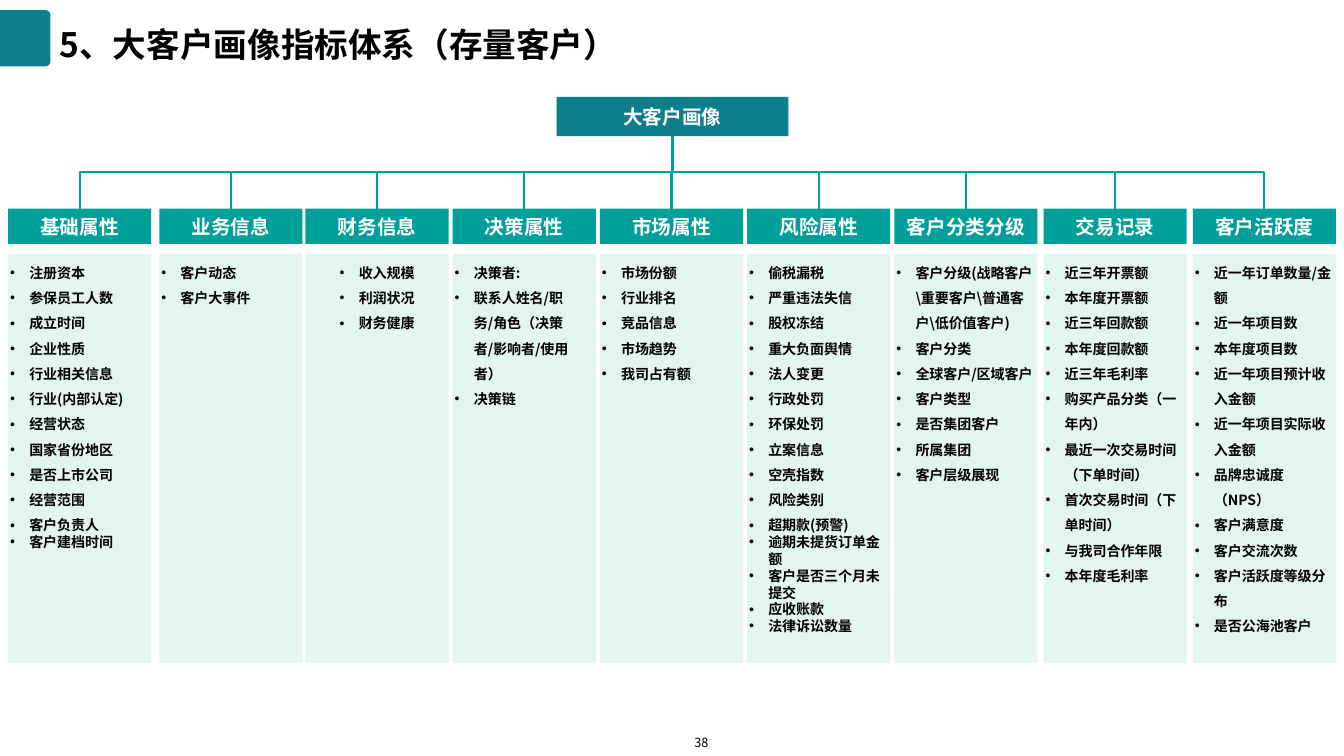
from dataclasses import dataclass

from lxml.etree import SubElement
from pptx import Presentation
from pptx.dml.color import RGBColor as RGB
from pptx.enum.shapes import MSO_CONNECTOR as CONN, MSO_SHAPE as SHAPE
from pptx.enum.text import MSO_ANCHOR as ANCHOR, PP_ALIGN as ALIGN
from pptx.oxml.ns import qn
from pptx.util import Inches, Pt


@dataclass(frozen=True)
class Theme:
    font: str = "Noto Sans CJK SC"
    deep: RGB = RGB(0x0C, 0x7F, 0x8A)
    teal: RGB = RGB(0x00, 0x9F, 0x9A)
    pale: RGB = RGB(0xE3, 0xF5, 0xF1)
    black: RGB = RGB(0, 0, 0)
    white: RGB = RGB(0xFF, 0xFF, 0xFF)
    title: int = 24
    heading: int = 14
    body: int = 10
    footer: int = 9


COLUMNS = [
    (0.08, "基础属性", [
        "注册资本", "参保员工人数", "成立时间", "企业性质", "行业相关信息", "行业(内部认定)",
        "经营状态", "国家省份地区", "是否上市公司", "经营范围", "客户负责人", "客户建档时间"]),
    (1.58, "业务信息", ["客户动态", "客户大事件"]),
    (3.03, "财务信息", ["收入规模", "利润状况", "财务健康"]),
    (4.49, "决策属性", ["决策者:", "联系人姓名/职务/角色（决策者/影响者/使用者）", "决策链"]),
    (5.95, "市场属性", ["市场份额", "行业排名", "竞品信息", "市场趋势", "我司占有额"]),
    (7.41, "风险属性", [
        "偷税漏税", "严重违法失信", "股权冻结", "重大负面舆情", "法人变更", "行政处罚", "环保处罚",
        "立案信息", "空壳指数", "风险类别", "超期款(预警)", "逾期未提货订单金额",
        "客户是否三个月未提交", "应收账款", "法律诉讼数量"]),
    (8.87, "客户分类分级", [
        "客户分级(战略客户\\重要客户\\普通客户\\低价值客户)", "客户分类", "全球客户/区域客户",
        "客户类型", "是否集团客户", "所属集团", "客户层级展现"]),
    (10.35, "交易记录", [
        "近三年开票额", "本年度开票额", "近三年回款额", "本年度回款额", "近三年毛利率",
        "购买产品分类（一年内）", "最近一次交易时间（下单时间）", "首次交易时间（下单时间）",
        "与我司合作年限", "本年度毛利率"]),
    (11.83, "客户活跃度", [
        "近一年订单数量/金额", "近一年项目数", "本年度项目数", "近一年项目预计收入金额",
        "近一年项目实际收入金额", "品牌忠诚度（NPS）", "客户满意度", "客户交流次数",
        "客户活跃度等级分布", "是否公海池客户"]),
]
COL_W = 1.42
HEAD_TOP, HEAD_H = 2.07, 0.35
LIST_TOP, LIST_H = 2.52, 4.06
ROOT_X, ROOT_BOTTOM = 6.67, 1.35
ROOMY_ROWS = 11
CENTERED = "财务信息"


class Builder:
    def __init__(self, slide, theme):
        self.slide = slide
        self.theme = theme

    def style(self, p, size, color, bold=True):
        for r in p.runs:
            r.font.size = Pt(size)
            r.font.bold = bold
            r.font.color.rgb = color
            r.font.name = self.theme.font
            SubElement(r._r.get_or_add_rPr(), qn("a:ea"), typeface=self.theme.font)

    def frame(self, sp, inset_x, inset_y, anchor):
        tf = sp.text_frame
        tf.word_wrap = True
        tf.margin_left = tf.margin_right = Inches(inset_x)
        tf.margin_top = tf.margin_bottom = Inches(inset_y)
        tf.vertical_anchor = anchor
        return tf

    def shape(self, kind, x, y, w, h, fill):
        sp = self.slide.shapes.add_shape(kind, Inches(x), Inches(y), Inches(w), Inches(h))
        sp.shadow.inherit = False
        sp.fill.solid()
        sp.fill.fore_color.rgb = fill
        sp.line.fill.background()
        return sp

    def tab(self, x, y, w, h):
        sp = self.shape(SHAPE.ROUND_2_SAME_RECTANGLE, x, y, w, h, self.theme.deep)
        sp.adjustments[0] = 0.1
        sp.rotation = 90

    def text(self, x, y, w, h, text, size, align, bold, spacing=1.0, inset=(0, 0), anchor=ANCHOR.TOP):
        sp = self.slide.shapes.add_textbox(Inches(x), Inches(y), Inches(w), Inches(h))
        tf = self.frame(sp, *inset, anchor)
        tf.text = text
        p = tf.paragraphs[0]
        p.alignment = align
        p.line_spacing = spacing
        self.style(p, size, self.theme.black, bold)

    def heading(self, x, y, w, h, text, fill):
        sp = self.shape(SHAPE.RECTANGLE, x, y, w, h, fill)
        tf = self.frame(sp, 0, 0.05, ANCHOR.MIDDLE)
        tf.text = text
        p = tf.paragraphs[0]
        p.alignment = ALIGN.CENTER
        self.style(p, self.theme.heading, self.theme.white)

    def bullets(self, x, y, w, h, items, align):
        sp = self.shape(SHAPE.RECTANGLE, x, y, w, h, self.theme.pale)
        tf = self.frame(sp, 0.02, 0.02, ANCHOR.TOP)
        tf.text = "\n".join(items)
        for row, p in enumerate(tf.paragraphs):
            p.alignment = align
            p.line_spacing = 1.5 if row < ROOMY_ROWS else 1.0
            pPr = p._p.get_or_add_pPr()
            pPr.set("marL", str(Inches(0.19)))
            pPr.set("indent", str(Inches(-0.19)))
            SubElement(pPr, qn("a:buFont"), typeface="Arial")
            SubElement(pPr, qn("a:buChar"), char="•")
            self.style(p, self.theme.body, self.theme.black)

    def branch(self, x1, y1, x2, y2):
        mid_x, mid_y = (x1 + x2) / 2, (y1 + y2) / 2
        half_drop, half_run = (y2 - y1) / 2, (x1 - x2) / 2
        c = self.slide.shapes.add_connector(
            CONN.ELBOW, Inches(mid_x - half_drop), Inches(mid_y - half_run),
            Inches(mid_x + half_drop), Inches(mid_y + half_run))
        c.line.color.rgb = self.theme.teal
        c.line.width = Pt(1.5)
        spPr = c._element.spPr
        spPr.find(qn("a:xfrm")).set("rot", "5400000")
        SubElement(spPr, qn("a:effectLst"))


def main():
    prs = Presentation()
    prs.slide_width, prs.slide_height = Inches(13.33), Inches(7.5)
    s = prs.slides.add_slide(prs.slide_layouts[6])
    theme = Theme()
    b = Builder(s, theme)

    b.tab(-0.03, 0.13, 0.56, 0.5)
    b.text(0.59, 0.1, 11.62, 0.56, "5、大客户画像指标体系（存量客户）", theme.title,
           ALIGN.LEFT, True, spacing=1.3, anchor=ANCHOR.MIDDLE)
    b.text(6.65, 7.24, 0.61, 0.25, "38", theme.footer, ALIGN.CENTER, False, inset=(0.04, 0.05))

    for x, _, _ in COLUMNS:
        b.branch(ROOT_X, ROOT_BOTTOM, x + COL_W / 2, HEAD_TOP)
    b.heading(5.52, 0.96, 2.3, 0.39, "大客户画像", theme.deep)
    for x, name, items in COLUMNS:
        b.heading(x, HEAD_TOP, COL_W, HEAD_H, name, theme.teal)
        align = ALIGN.CENTER if name == CENTERED else ALIGN.LEFT
        b.bullets(x, LIST_TOP, COL_W, LIST_H, items, align)

    prs.save("out.pptx")


if __name__ == "__main__":
    main()
